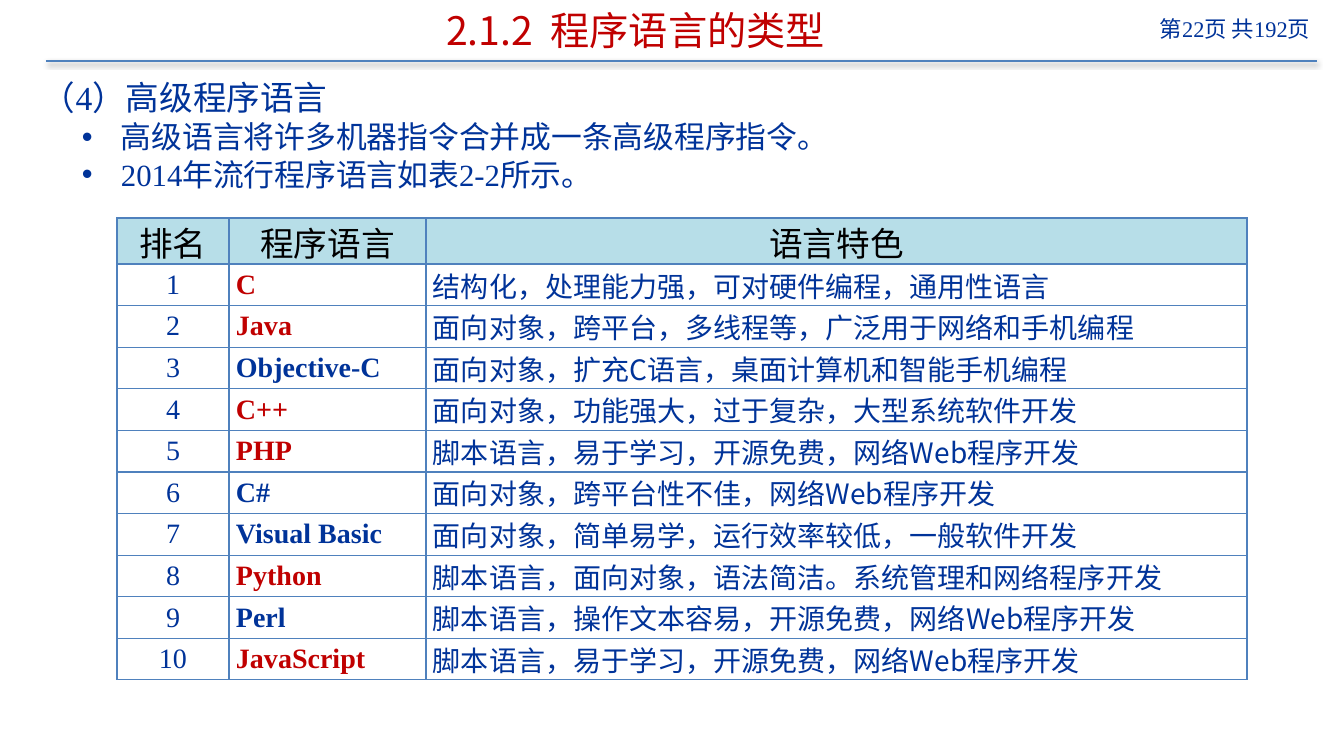
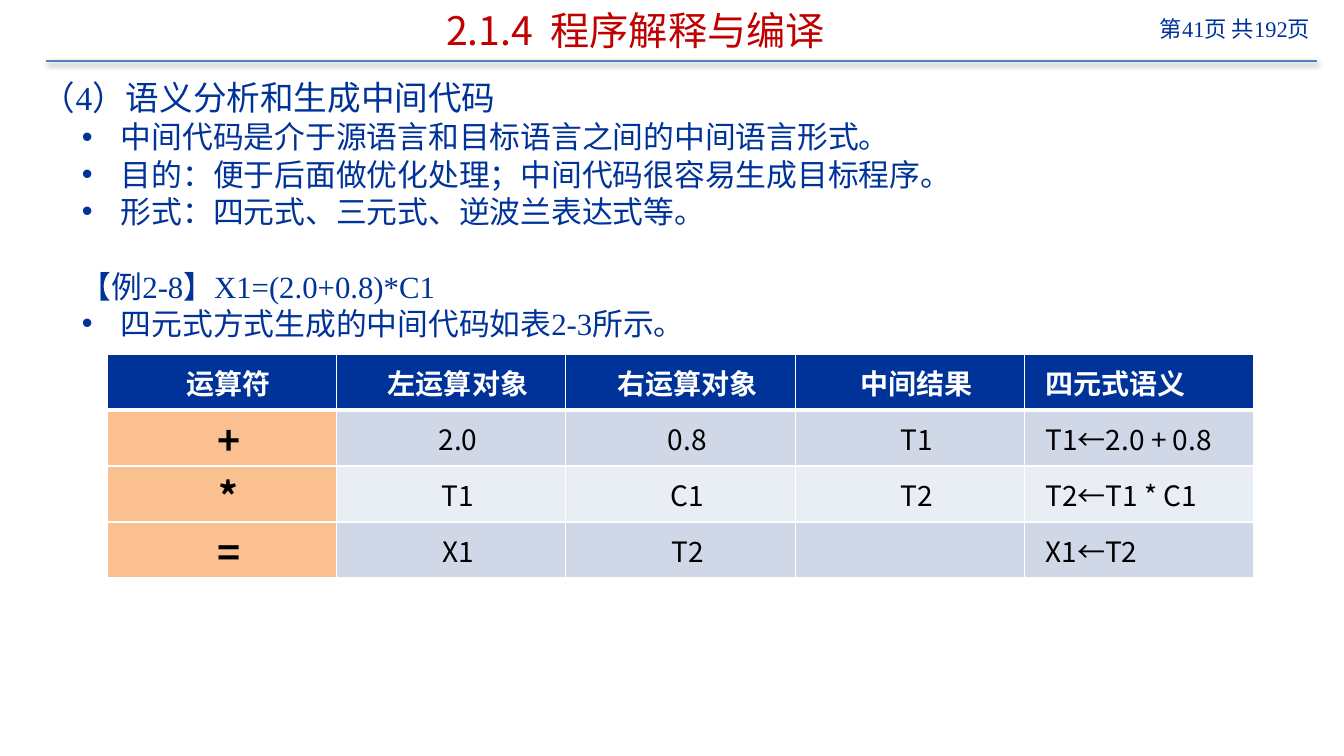
from lxml import etree
from pptx import Presentation
from pptx.dml.color import RGBColor
from pptx.enum.shapes import MSO_CONNECTOR
from pptx.enum.text import MSO_ANCHOR, PP_ALIGN
from pptx.oxml import parse_xml
from pptx.oxml.ns import nsdecls, qn
from pptx.util import Pt

PX = 914400 / 100.8
MID, TOP = MSO_ANCHOR.MIDDLE, MSO_ANCHOR.TOP
LEFT, RIGHT = PP_ALIGN.LEFT, PP_ALIGN.RIGHT
CENTER, JUST = PP_ALIGN.CENTER, PP_ALIGN.JUSTIFY
SANS, SERIF = "Noto Sans CJK SC", "Times New Roman"
COLORS = {
    "navy": "003399", "red": "C00000", "blue": "4F81BD", "black": "000000",
    "white": "FFFFFF", "aqua": "B7DEE8", "peach": "FAC090",
    "dark": "D0D8E8", "light": "E9EDF4",
}
SHADE = (
    f"<a:effectLst {nsdecls('a')}>"
    '<a:outerShdw blurRad="40000" dist="20000" dir="5400000" rotWithShape="0">'
    '<a:srgbClr val="000000"><a:alpha val="38000"/></a:srgbClr>'
    "</a:outerShdw></a:effectLst>"
)

# Slide content: title, page, body lines as (kind, text)
PAGES = [
    ("2.1.2  程序语言的类型", 22, [
        ("head", "（4）高级程序语言"),
        ("dot", "高级语言将许多机器指令合并成一条高级程序指令。"),
        ("dot", "2014年流行程序语言如表2-2所示。"),
    ]),
    ("2.1.4  程序解释与编译", 41, [
        ("head", "（4）语义分析和生成中间代码"),
        ("dot", "中间代码是介于源语言和目标语言之间的中间语言形式。"),
        ("dot", "目的：便于后面做优化处理；中间代码很容易生成目标程序。"),
        ("dot", "形式：四元式、三元式、逆波兰表达式等。"),
        ("case", "【例2-8】X1=(2.0+0.8)*C1"),
        ("dot", "四元式方式生成的中间代码如表2-3所示。"),
    ]),
]
# Line kinds: size, line height, space before, left margin, indent
KINDS = {
    "head": (24, 29, 0, 0, 0),
    "dot": (22, 26.7, 0, 79, -39),
    "case": (22, 26.7, 26.7, 39, 0),
}
RANKS = [
    ("排名", "程序语言", "语言特色"),
    ("1", "C", "结构化，处理能力强，可对硬件编程，通用性语言"),
    ("2", "Java", "面向对象，跨平台，多线程等，广泛用于网络和手机编程"),
    ("3", "Objective-C", "面向对象，扩充C语言，桌面计算机和智能手机编程"),
    ("4", "C++", "面向对象，功能强大，过于复杂，大型系统软件开发"),
    ("5", "PHP", "脚本语言，易于学习，开源免费，网络Web程序开发"),
    ("6", "C#", "面向对象，跨平台性不佳，网络Web程序开发"),
    ("7", "Visual Basic", "面向对象，简单易学，运行效率较低，一般软件开发"),
    ("8", "Python", "脚本语言，面向对象，语法简洁。系统管理和网络程序开发"),
    ("9", "Perl", "脚本语言，操作文本容易，开源免费，网络Web程序开发"),
    ("10", "JavaScript", "脚本语言，易于学习，开源免费，网络Web程序开发"),
]
HOT = {"C", "Java", "C++", "PHP", "Python", "JavaScript"}
QUADS = [
    ("运算符", "左运算对象", "右运算对象", "中间结果", "四元式语义"),
    ("+", "2.0", "0.8", "T1", "T1←2.0 + 0.8"),
    ("*", "T1", "C1", "T2", "T2←T1 * C1"),
    ("=", "X1", "T2", "", "X1←T2"),
]


def style(para, text, size, face, color, align=LEFT, bold=False):
    para.text = text
    para.alignment = align
    for run in para.runs:
        font = run.font
        font.size, font.name, font.bold = Pt(size), face, bold
        font.color.rgb = RGBColor.from_string(COLORS[color])
        props = run._r.get_or_add_rPr()
        etree.SubElement(props, qn("a:ea")).set("typeface", SANS)


def dress(cell, fill, edge, pens):
    """Set insets, fill and the left, right, top and bottom borders."""
    cell.vertical_anchor = MID
    cell.margin_left = cell.margin_right = round(7 * PX)
    cell.margin_top = cell.margin_bottom = 0
    if fill:
        cell.fill.solid()
        cell.fill.fore_color.rgb = RGBColor.from_string(COLORS[fill])
    else:
        cell.fill.background()
    props = cell._tc.get_or_add_tcPr()
    for i, (side, pen) in enumerate(zip("LRTB", pens)):
        props.insert(i, parse_xml(
            f'<a:ln{side} {nsdecls("a")} w="{Pt(pen)}"><a:solidFill>'
            f'<a:srgbClr val="{COLORS[edge]}"/></a:solidFill></a:ln{side}>'))


deck = Presentation()
deck.slide_width, deck.slide_height = round(1344 * PX), round(756 * PX)
slides = []

for title, page, lines in PAGES:
    slide = deck.slides.add_slide(deck.slide_layouts[6])
    slides.append(slide)

    # Rule under the title
    rule = slide.shapes.add_connector(
        MSO_CONNECTOR.STRAIGHT, *[round(n * PX) for n in (46, 61, 1317, 61)])
    rule.line.color.rgb = RGBColor.from_string(COLORS["blue"])
    rule.line.width = Pt(2)
    rule._element.spPr.append(parse_xml(SHADE))

    # Page number, title and body boxes
    frames = []
    for area, anchor in [((1092, 10, 228, 45), TOP),
                         ((78, 2, 1115, 56), MID),
                         ((32, 72, 1284, 661), TOP)]:
        box = slide.shapes.add_textbox(*[round(n * PX) for n in area])
        box.text_frame.word_wrap = True
        box.text_frame.vertical_anchor = anchor
        frames.append(box.text_frame)
    mark, head, body = frames
    style(mark.paragraphs[0], f"第{page}页 共192页", 16, SERIF, "navy", RIGHT)
    style(head.paragraphs[0], title, 28, SANS, "red", CENTER)

    # Body lines
    for i, (kind, text) in enumerate(lines):
        para = body.add_paragraph() if i else body.paragraphs[0]
        size, pitch, gap, left, dent = KINDS[kind]
        props = para._p.get_or_add_pPr()
        props.set("marL", str(round(left * PX)))
        props.set("indent", str(round(dent * PX)))
        if kind == "dot":
            etree.SubElement(props, qn("a:buFont")).set("typeface", "Arial")
            etree.SubElement(props, qn("a:buChar")).set("char", "•")
        para.line_spacing, para.space_before = Pt(pitch), Pt(gap)
        style(para, text, size, SERIF, "navy")

# Tables: slide, rows, area, column widths, header height
grids = []
for slide, rows, area, wides, first in [
        (slides[0], RANKS, (117, 218, 1130, 462), (112, 197, 821), 46),
        (slides[1], QUADS, (107, 354, 1147, 224), (1147 / 5,) * 5, 56)]:
    grid = slide.shapes.add_table(
        len(rows), len(wides), *[round(n * PX) for n in area]).table
    grid.first_row = grid.horz_banding = False
    for col, wide in zip(grid.columns, wides):
        col.width = round(wide * PX)
    rest = (area[3] - first) / (len(rows) - 1)
    for r, row in enumerate(grid.rows):
        row.height = round((rest if r else first) * PX)
    grids.append(grid)
ranks, quads = grids

# Language ranking
for r, row in enumerate(RANKS):
    for c, text in enumerate(row):
        cell = ranks.cell(r, c)
        dress(cell, None if r else "aqua", "blue", (1, 1, 1, 1))
        para = cell.text_frame.paragraphs[0]
        if r == 0:
            style(para, text, 24, SANS, "black", CENTER)
        else:
            style(para, text, 20, SANS if c == 2 else SERIF,
                  "red" if c == 1 and text in HOT else "navy",
                  JUST if c else CENTER, c == 1)

# Quadruples
for r, row in enumerate(QUADS):
    for c, text in enumerate(row):
        cell = quads.cell(r, c)
        if r == 0:
            fill = "navy"
        elif c == 0:
            fill = "peach"
        else:
            fill = "dark" if r % 2 else "light"
        dress(cell, fill, "white",
              (1, 1, 3 if r == 1 else 1, 1 if r else 3))
        para = cell.text_frame.paragraphs[0]
        para._p.get_or_add_pPr().set("indent", str(round(14 * PX)))
        style(para, text, 28 if r and c == 0 else 20, SANS,
              "black" if r else "white",
              CENTER if c < 4 else JUST if r else LEFT, r == 0 or c == 0)

deck.save("out.pptx")
